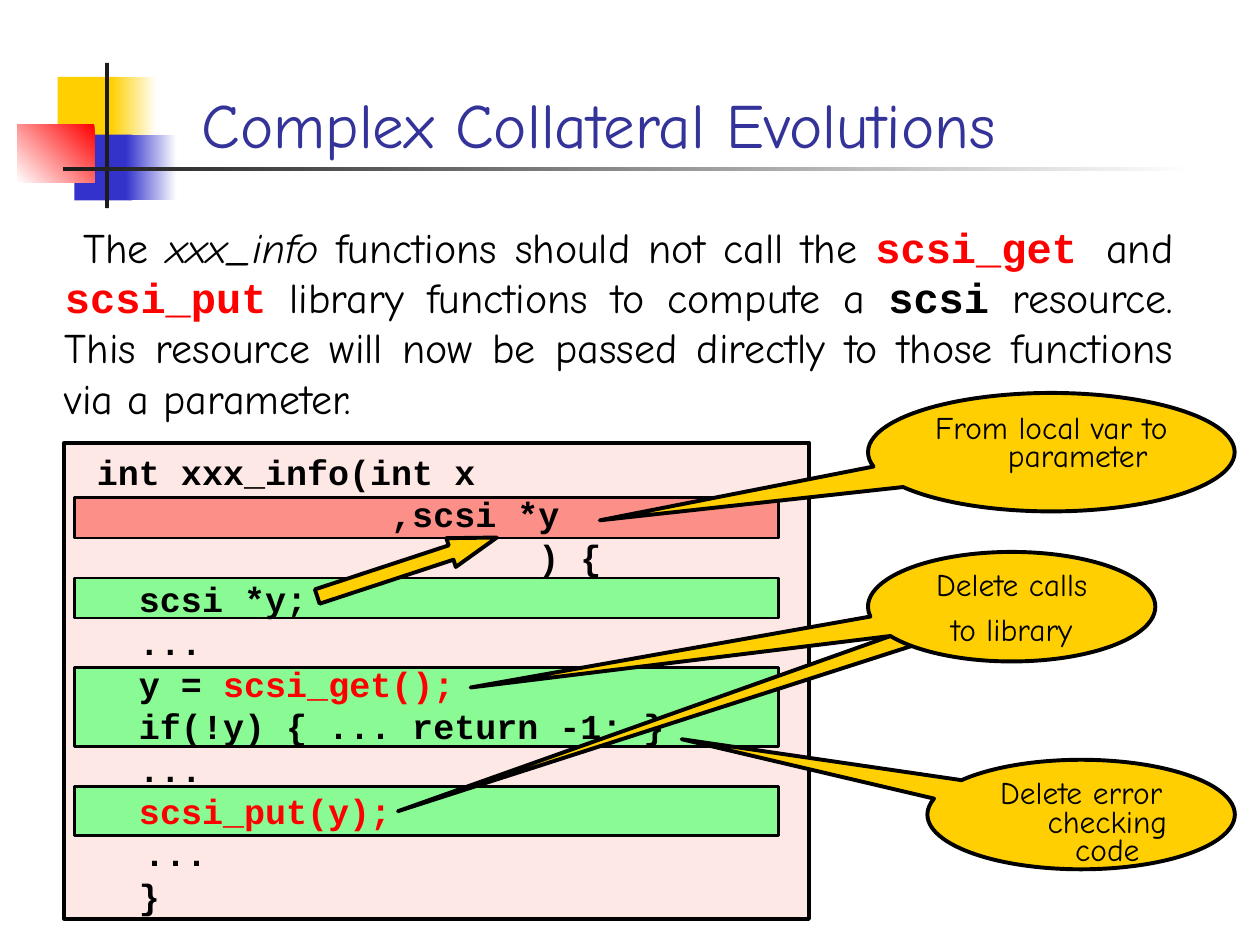
import pptx
import pptx.util
import pptx.dml.color
import pptx.enum.shapes
import pptx.enum.text
import pptx.oxml.ns
import lxml.etree

Pt = pptx.util.Pt
SHAPE = pptx.enum.shapes.MSO_SHAPE
ALIGN = pptx.enum.text.PP_ALIGN
ANCHOR = pptx.enum.text.MSO_ANCHOR
SANS, MONO = "Comic Neue", "Courier New"

COLORS = {
    "yellow": "FFCF01", "blue": "3333CC", "red": "FF0000", "dark": "1C1C1C",
    "white": "FFFFFF", "black": "000000", "title": "333399",
    "panel": "FEE8E6", "added": "FC9088", "removed": "8AFA95",
}

TITLE = "Complex Collateral Evolutions"

DECORATION = [
    ((33, 44, 34.5, 37.5), "yellow", None, 0),
    ((63.5, 44, 26, 37.5), "yellow", "white", 0),
    ((42.5, 77, 33, 37.5), "blue", None, 0),
    ((72, 77, 29, 37.5), "blue", "white", 0),
    ((10, 71, 44, 33.5), "red", "white", 225),
    ((60, 36, 2.3, 83), "dark", None, 0),
    ((36, 95.3, 648, 2.3), "dark", "white", 0),
]

INTRO = [
    ("The ", "plain"), ("xxx_info", "italic"),
    (" functions should not call the ", "plain"), ("scsi_get ", "call"),
    ("and ", "plain"), ("scsi_put", "call"),
    (" library functions to compute a ", "plain"), ("scsi", "code"),
    (" resource. This resource will now be passed directly to those "
     "functions via a parameter.", "plain"),
]

CODE = [
    [("int xxx_info(int x", "code")],
    [("              ,scsi *y", "code")],
    [("                     ) {", "code")],
    [("  scsi *y;", "code")],
    [("  ...", "code")],
    [("  y = ", "code"), ("scsi_get();", "call")],
    [("  if(!y) { ... return -1; }", "code")],
    [("  ...", "code")],
    [("  ", "code"), ("scsi_put(y);", "call")],
    [("\t...", "code")],
    [("  }", "code")],
]

STYLES = {
    "plain": (SANS, False, False, "black"),
    "italic": (SANS, False, True, "black"),
    "code": (MONO, True, False, "black"),
    "call": (MONO, True, False, "red"),
}

PANEL = (36.8, 252.9, 425.5, 272.2)
BAND_LEFT, BAND_WIDTH = 42.5, 402.5
BANDS = [(284.4, 23, "added"), (330.2, 23, "removed"),
         (381.5, 45.3, "removed"), (449.3, 28.3, "removed")]

CALLOUTS = [
    ((524, 327, 72, 48), (227.4, 463.6), []),
    ((496, 315.4, 164.2, 62.6), (268.9, 392.9), ["Delete calls", "to library"]),
    ((530, 434.2, 175.7, 62.6), (389.5, 422.4), ["Delete error checking code"]),
    ((496, 224.6, 209.5, 67.7), (342.7, 297.4), ["From local var to parameter"]),
]
ARROW = (178.6, 315.4, 108, 17.3)


def rgb(name):
    return pptx.dml.color.RGBColor.from_string(COLORS[name])


def add_shape(page, kind, place, color, line=None):
    shape = page.shapes.add_shape(kind, *map(Pt, place))
    shape.shadow.inherit = False
    shape.fill.solid()
    shape.fill.fore_color.rgb = rgb(color)
    if line:
        shape.line.color.rgb = rgb("black")
        shape.line.width = Pt(line)
    else:
        shape.line.fill.background()
    return shape


def place_on_top(box, place):
    box.left, box.top, box.width, box.height = map(Pt, place)
    box.element.getparent().append(box.element)


def set_indent(para, left, first):
    properties = para._p.get_or_add_pPr()
    properties.set("marL", str(Pt(left)))
    properties.set("indent", str(Pt(first)))
    lxml.etree.SubElement(properties, pptx.oxml.ns.qn("a:buNone"))


def next_para(frame, index, before):
    para = frame.add_paragraph() if index else frame.paragraphs[0]
    para.space_before = Pt(before if index else 0)
    return para


def add_spans(para, spans, size):
    for text, style in spans:
        span = para.add_run()
        span.text = text
        font = span.font
        font.name, font.bold, font.italic, color = STYLES[style]
        font.size = Pt(size)
        font.color.rgb = rgb(color)


def add_decoration(page):
    for place, start, end, angle in DECORATION:
        shape = add_shape(page, SHAPE.RECTANGLE, place, start)
        if end:
            shape.fill.gradient()
            shape.fill.gradient_angle = angle
            for stop, color in zip(shape.fill.gradient_stops, (start, end)):
                stop.color.rgb = rgb(color)


def add_title(page):
    title = page.shapes.title
    place_on_top(title, (108, 5.8, 613.4, 90))
    frame = title.text_frame
    frame.text = TITLE
    frame.vertical_anchor = ANCHOR.BOTTOM
    para = frame.paragraphs[0]
    para.alignment = ALIGN.LEFT
    para.font.name = SANS
    para.font.size = Pt(36)
    para.font.color.rgb = rgb("title")


def add_code(page):
    add_shape(page, SHAPE.RECTANGLE, PANEL, "panel", 2.25)
    for top, height, color in BANDS:
        add_shape(page, SHAPE.RECTANGLE, (BAND_LEFT, top, BAND_WIDTH, height), color, 1.5)
    body = page.placeholders[1]
    place_on_top(body, (48.2, 258.5, 373.7, 272))
    frame = body.text_frame
    frame.auto_size = pptx.enum.text.MSO_AUTO_SIZE.NONE
    for index, spans in enumerate(CODE):
        para = next_para(frame, index, 5)
        para.line_spacing = 0.8
        set_indent(para, 27, -27)
        add_spans(para, spans, 20)


def add_intro(page):
    box = page.shapes.add_textbox(*map(Pt, (0, 122.8, 677.5, 122.4)))
    frame = box.text_frame
    frame.word_wrap = True
    para = frame.paragraphs[0]
    para.alignment = ALIGN.JUSTIFY
    set_indent(para, 30, 10.5)
    add_spans(para, INTRO, 24)


def add_callouts(page):
    for place, tip, lines in CALLOUTS:
        callout = add_shape(page, SHAPE.OVAL_CALLOUT, place, "yellow", 2.25)
        for axis in range(2):
            size = place[axis + 2]
            callout.adjustments[axis] = (tip[axis] - place[axis] - size / 2) / size
        frame = callout.text_frame
        frame.vertical_anchor = ANCHOR.TOP
        for index, text in enumerate(lines):
            para = next_para(frame, index, 9.5)
            para.alignment = ALIGN.CENTER
            para.line_spacing = 0.75
            set_indent(para, 30, -30)
            add_spans(para, [(text, "plain")], 18)


def add_arrow(page):
    arrow = add_shape(page, SHAPE.RIGHT_ARROW, ARROW, "yellow", 2.25)
    arrow.adjustments[1] = 1.59
    arrow.rotation = 341.8


def main():
    deck = pptx.Presentation()
    deck.slide_width, deck.slide_height = Pt(720), Pt(540)
    page = deck.slides.add_slide(deck.slide_layouts[1])
    for add_part in (add_decoration, add_title, add_code, add_intro, add_callouts, add_arrow):
        add_part(page)
    deck.save("out.pptx")


if __name__ == "__main__":
    main()
